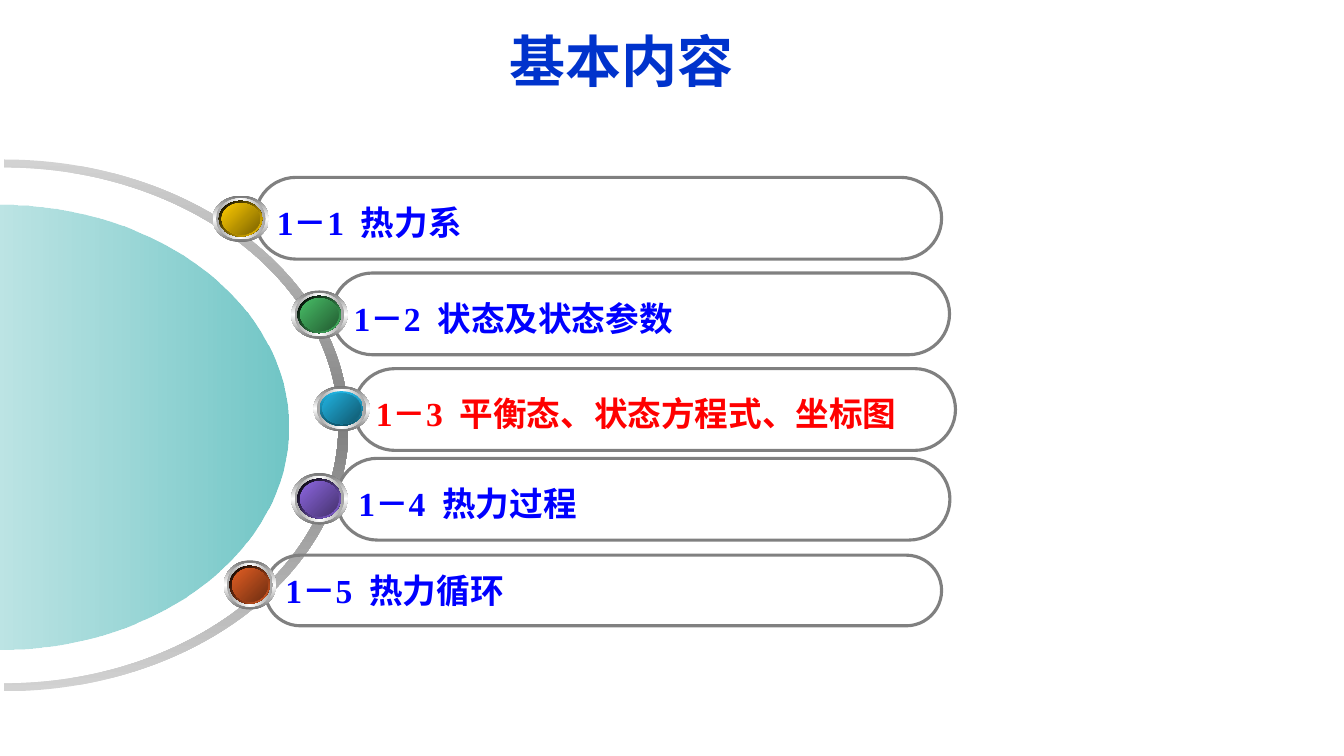
from pptx import Presentation
from pptx.dml.color import RGBColor
from pptx.enum.shapes import MSO_SHAPE
from pptx.enum.text import MSO_ANCHOR, PP_ALIGN
from pptx.oxml.ns import qn
from pptx.oxml.xmlchemy import OxmlElement
from pptx.util import Cm, Pt

ROUNDED, OVAL = MSO_SHAPE.ROUNDED_RECTANGLE, MSO_SHAPE.OVAL
MIDDLE, BOTTOM = MSO_ANCHOR.MIDDLE, MSO_ANCHOR.BOTTOM
LEFT, CENTER = PP_ALIGN.LEFT, PP_ALIGN.CENTER
TITLE_ONLY = 5
CURVE = 0.55  # handle length of a quarter ellipse, as a share of its radius

BLACK = RGBColor(0x00, 0x00, 0x00)
WHITE = RGBColor(0xFF, 0xFF, 0xFF)
GRAY = RGBColor(0x80, 0x80, 0x80)
LIGHT_GRAY = RGBColor(0xD2, 0xD2, 0xD2)
RIM_GRAY = RGBColor(0x76, 0x76, 0x76)
RING_GRAY = RGBColor(0xA2, 0xA2, 0xA2)
TEAL = RGBColor(0x00, 0x99, 0x99)
PALE_TEAL = RGBColor(0x7F, 0xCC, 0xCC)
TITLE_BLUE = RGBColor(0x00, 0x33, 0xCC)
BLUE = RGBColor(0x00, 0x00, 0xFF)
RED = RGBColor(0xFF, 0x00, 0x00)
YELLOW, DARK_YELLOW = RGBColor(0xFF, 0xCC, 0x00), RGBColor(0x7C, 0x63, 0x00)
GREEN, DARK_GREEN = RGBColor(0x48, 0xBE, 0x67), RGBColor(0x23, 0x5C, 0x32)
CYAN, DARK_CYAN = RGBColor(0x21, 0xB3, 0xE1), RGBColor(0x10, 0x57, 0x6D)
PURPLE, DARK_PURPLE = RGBColor(0x8D, 0x67, 0xE1), RGBColor(0x45, 0x32, 0x6D)
ORANGE, DARK_ORANGE = RGBColor(0xE3, 0x5E, 0x23), RGBColor(0x6E, 0x2E, 0x11)

# text, text colour, bar box, button box (cm), button rim and face gradients
SECTIONS = [
    ("1－1  热力系", BLUE, (6.43, 4.47, 17.3, 2.06), (5.36, 4.93, 1.42, 1.17),
     (BLACK, YELLOW, 45), (YELLOW, DARK_YELLOW)),
    ("1－2  状态及状态参数", BLUE, (8.36, 6.88, 15.57, 2.06), (7.34, 7.32, 1.42, 1.22),
     (BLACK, GREEN, 45), (GREEN, DARK_GREEN)),
    ("1－3  平衡态、状态方程式、坐标图", RED, (8.92, 9.29, 15.16, 2.06), (7.9, 9.73, 1.42, 1.14),
     (CYAN, DARK_CYAN, 90), (CYAN, DARK_CYAN)),
    ("1－4  热力过程", BLUE, (8.48, 11.55, 15.46, 2.06), (7.34, 11.92, 1.42, 1.3),
     (BLACK, PURPLE, 45), (PURPLE, DARK_PURPLE)),
    ("1－5  热力循环", BLUE, (6.68, 13.99, 17.05, 1.78), (5.64, 14.12, 1.32, 1.24),
     (BLACK, ORANGE, 45), (ORANGE, DARK_ORANGE)),
]


def fill_gradient(shape, colors, angle, opacities=None):
    """Fill with evenly spaced colours; the angle runs clockwise in degrees."""
    shape.shadow.inherit = False
    shape.line.fill.background()
    shape.fill.gradient()
    gradient = shape._element.spPr.find(qn("a:gradFill"))
    stops = gradient.find(qn("a:gsLst"))
    for stop in list(stops):
        stops.remove(stop)
    for index, color in enumerate(colors):
        stop = OxmlElement("a:gs")
        stop.set("pos", str(100000 * index // (len(colors) - 1)))
        value = OxmlElement("a:srgbClr")
        value.set("val", str(color))
        if opacities:
            alpha = OxmlElement("a:alpha")
            alpha.set("val", str(opacities[index] * 1000))
            value.append(alpha)
        stop.append(value)
        stops.append(stop)
    gradient.find(qn("a:lin")).set("ang", str(angle * 60000))


def add_run(paragraph, text, font_name, size, color):
    run = paragraph.add_run()
    run.text = text
    run.font.name = font_name
    run.font.size = Pt(size)
    run.font.bold = True
    run.font.color.rgb = color


def half_ellipse(left, middle, radius_x, radius_y):
    """Ends and handles of two curves down the right half of an ellipse."""
    shares = [(0, -1), (CURVE, -1), (1, -CURVE), (1, 0),
              (1, CURVE), (CURVE, 1), (0, 1)]
    return [(Cm(left + radius_x * x), Cm(middle + radius_y * y)) for x, y in shares]


def add_curved_shape(slide, *arcs):
    """Draw arcs joined by straight lines, each a start and triples of points."""
    points = [point for arc in arcs for point in arc]
    builder = slide.shapes.build_freeform(*points[0])
    builder.add_line_segments(points[1:], close=True)
    shape = builder.convert_to_shape()
    segments = list(shape._element.iter(qn("a:moveTo"), qn("a:lnTo")))
    start = 0
    for arc in arcs:
        for first in range(start + 1, start + len(arc), 3):
            curve = OxmlElement("a:cubicBezTo")
            segments[first].addprevious(curve)
            for segment in segments[first:first + 3]:
                curve.append(segment[0])
                segment.getparent().remove(segment)
        start += len(arc)
    return shape


def add_dome(slide, left, middle):
    outer = half_ellipse(left + 0.1, middle, 8.69, 6.7)
    inner = half_ellipse(left + 0.1, middle, 8.43, 6.5)
    arc = add_curved_shape(slide, outer, inner[::-1])
    fill_gradient(arc, (LIGHT_GRAY, GRAY, LIGHT_GRAY), 90)
    disc = add_curved_shape(slide, half_ellipse(left, middle + 0.04, 7.26, 5.6))
    fill_gradient(disc, (PALE_TEAL, TEAL), 0, (52, 56))


def add_bar(slide, box, text, color):
    bar = slide.shapes.add_shape(ROUNDED, *map(Cm, box))
    bar.adjustments[0] = 0.5
    bar.shadow.inherit = False
    bar.fill.background()
    bar.line.color.rgb = GRAY
    bar.line.width = Pt(2.25)
    frame = bar.text_frame
    frame.word_wrap = True
    frame.vertical_anchor = MIDDLE
    paragraph = frame.paragraphs[0]
    paragraph.alignment = LEFT
    if box[3] > 2:
        paragraph.line_spacing = 1.2
        paragraph.space_before = Pt(4.8)
    add_run(paragraph, text, "Times New Roman", 24, color)


def add_button(slide, box, rim, face):
    """Stack ever smaller ovals; offset and size are shares of the box."""
    left, top, width, height = box
    layers = [
        (0, 1, (RIM_GRAY, WHITE, RIM_GRAY), 90),
        (0.06, 0.88, (RING_GRAY, WHITE, RING_GRAY), 0),
        (0.11, 0.77, rim[:2], rim[2]),
        (0.16, 0.68, face, 45),
    ]
    group = slide.shapes.add_group_shape()
    for offset, size, colors, angle in layers:
        oval = group.shapes.add_shape(
            OVAL, Cm(left + offset * width), Cm(top + offset * height),
            Cm(size * width), Cm(size * height))
        fill_gradient(oval, colors, angle)


def add_title(slide, box, text):
    title = slide.shapes.title
    title.left, title.top, title.width, title.height = map(Cm, box)
    frame = title.text_frame
    frame.word_wrap = True
    frame.vertical_anchor = BOTTOM
    paragraph = frame.paragraphs[0]
    paragraph.alignment = CENTER
    add_run(paragraph, text, "Arial", 40, TITLE_BLUE)


def build_contents_slide(presentation):
    slide = presentation.slides.add_slide(presentation.slide_layouts[TITLE_ONLY])
    add_title(slide, (4.74, 0.53, 21.84, 1.96), "基本内容")
    add_dome(slide, 0, 10.72)
    for text, color, bar_box, _, _, _ in reversed(SECTIONS):
        add_bar(slide, bar_box, text, color)
    for _, _, _, button_box, rim, face in SECTIONS:
        add_button(slide, button_box, rim, face)


def main():
    presentation = Presentation()
    presentation.slide_width, presentation.slide_height = Cm(33.87), Cm(19.05)
    build_contents_slide(presentation)
    presentation.save("out.pptx")


if __name__ == "__main__":
    main()
